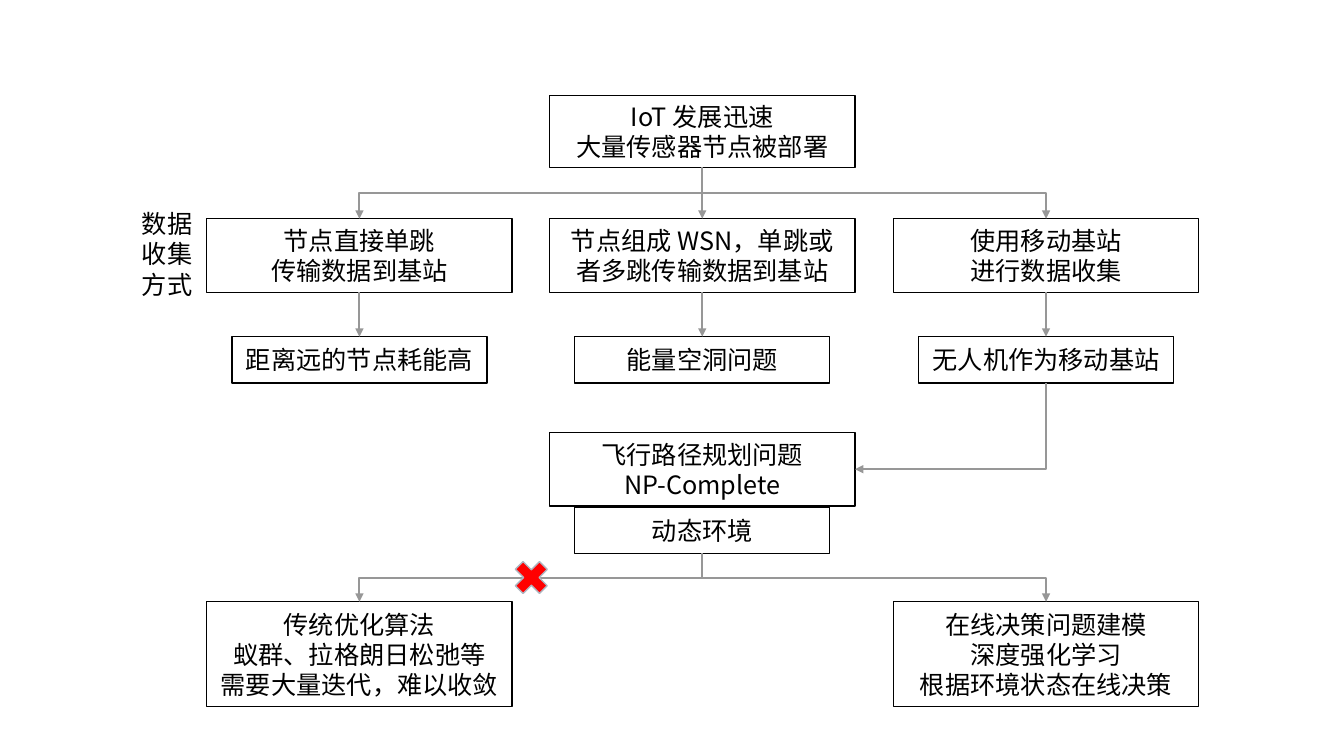
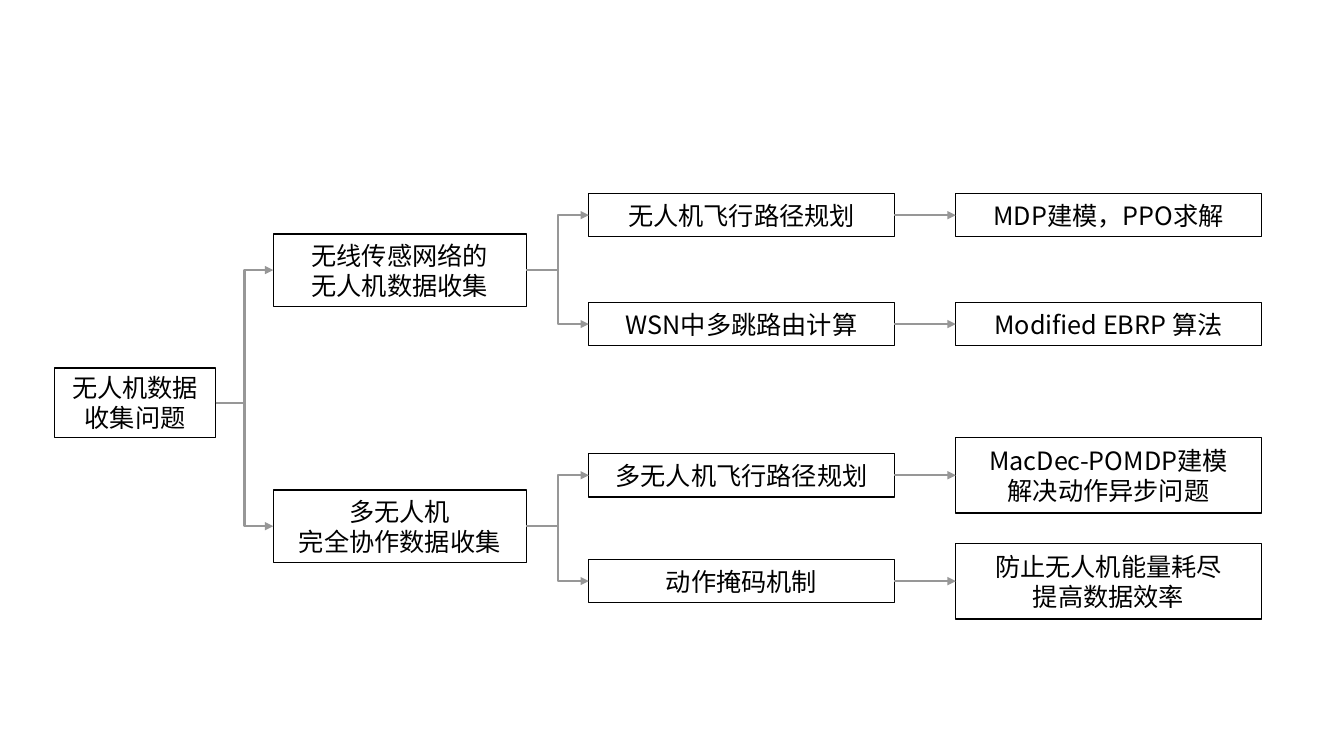
import pptx
import pptx.dml.color
import pptx.enum.shapes
import pptx.enum.text
import pptx.oxml
import pptx.oxml.ns
import pptx.util

PX = 9144  # 100 px to the inch
FONT = "Noto Sans CJK SC"
INK, ARROW_GREY, CROSS_RED, CROSS_EDGE = "000000", "979797", "FF0000", "AEB5C0"
TOP, LEFT, BOTTOM, RIGHT = range(4)  # connection sites of a rectangle

color = pptx.dml.color.RGBColor.from_string
qn = pptx.oxml.ns.qn
SHAPE = pptx.enum.shapes.MSO_SHAPE
CONNECTOR = pptx.enum.shapes.MSO_CONNECTOR
ALIGN = pptx.enum.text.PP_ALIGN
ANCHOR = pptx.enum.text.MSO_ANCHOR


def add_box(page, text, left, top, width, height, framed=True):
    """Add a centred, outlined box, or a plain left-aligned label if not framed."""
    place = [length * PX for length in (left, top, width, height)]
    if framed:
        box = page.shapes.add_shape(SHAPE.RECTANGLE, *place)
        box.shadow.inherit = False
        box.fill.background()
        box.line.color.rgb = color(INK)
        box.line.width = pptx.util.Pt(1)
    else:
        box = page.shapes.add_textbox(*place)
    frame = box.text_frame
    frame.text = text
    frame.word_wrap = True
    frame.vertical_anchor = ANCHOR.MIDDLE if framed else ANCHOR.TOP
    for para in frame.paragraphs:
        para.alignment = ALIGN.CENTER if framed else ALIGN.LEFT
        para.line_spacing = pptx.util.Pt(21.6)
        for span in para.runs:
            span.font.size = pptx.util.Pt(18)
            span.font.name = FONT
            span.font.color.rgb = color(INK)
            east_asian = pptx.oxml.parse_xml(
                f'<a:ea {pptx.oxml.ns.nsdecls("a")} typeface="{FONT}"/>')
            span.font._element.find(qn("a:latin")).addnext(east_asian)
    return box


def add_arrow(page, source, target, leave=RIGHT, enter=LEFT):
    """Join two boxes; an arrow leaving the bottom is an elbow turned by 90 degrees."""
    arrow = page.shapes.add_connector(CONNECTOR.ELBOW, 0, 0, 0, 0)
    arrow.begin_connect(source, leave)
    arrow.end_connect(target, enter)
    arrow.line.color.rgb = color(ARROW_GREY)
    arrow.line.width = pptx.util.Pt(1.5)
    properties = arrow._element.spPr
    line = properties.find(qn("a:ln"))
    line.append(pptx.oxml.parse_xml(
        f'<a:tailEnd {pptx.oxml.ns.nsdecls("a")} type="triangle"/>'))
    line.addnext(pptx.oxml.parse_xml(f'<a:effectLst {pptx.oxml.ns.nsdecls("a")}/>'))

    geometry = properties.find(qn("a:prstGeom"))
    across, down = arrow.end_x - arrow.begin_x, arrow.end_y - arrow.begin_y
    if across == 0 or down == 0:
        geometry.set("prst", "line")
    elif leave == BOTTOM:
        if enter != TOP:
            geometry.set("prst", "bentConnector2")
        middle_x = (arrow.begin_x + arrow.end_x) // 2
        middle_y = (arrow.begin_y + arrow.end_y) // 2
        arrow.left, arrow.top = middle_x - down // 2, middle_y - abs(across) // 2
        arrow.width, arrow.height = down, abs(across)
        frame = properties.find(qn("a:xfrm"))
        frame.set("rot", "5400000")
        frame.set("flipH", "0")
        frame.set("flipV", "1" if across > 0 else "0")


deck = pptx.Presentation()
deck.slide_width, deck.slide_height = 1333 * PX, 750 * PX
blank = deck.slide_layouts[6]

# Slide 1: from data collection methods to online decisions
page = deck.slides.add_slide(blank)
WIDE, NARROW = 303, 253
INSET = (WIDE - NARROW) // 2
columns = [205, 545, 886]

growth = add_box(page, "IoT 发展迅速\n大量传感器节点被部署", columns[1], 95, WIDE, 71)
methods = [
    ("节点直接单跳\n传输数据到基站", "距离远的节点耗能高"),
    ("节点组成 WSN，单跳或者多跳传输数据到基站", "能量空洞问题"),
    ("使用移动基站\n进行数据收集", "无人机作为移动基站"),
]
for left, (method_text, outcome_text) in zip(columns, methods):
    method = add_box(page, method_text, left, 217, WIDE, 73)
    outcome = add_box(page, outcome_text, left + INSET, 334, NARROW, 46)
    add_arrow(page, growth, method, BOTTOM, TOP)
    add_arrow(page, method, outcome, BOTTOM, TOP)
add_box(page, "数据收集方式", 131, 202, 90, 40, framed=False)

planning = add_box(page, "飞行路径规划问题\nNP-Complete", columns[1], 429, WIDE, 73)
add_arrow(page, outcome, planning, BOTTOM, RIGHT)
dynamic = add_box(page, "动态环境", columns[1] + INSET, 503, NARROW, 46)
solutions = [
    (columns[0], "传统优化算法\n蚁群、拉格朗日松弛等\n需要大量迭代，难以收敛"),
    (columns[2], "在线决策问题建模\n深度强化学习\n根据环境状态在线决策"),
]
for left, text in solutions:
    solution = add_box(page, text, left, 597, WIDE, 104)
    add_arrow(page, dynamic, solution, BOTTOM, TOP)

cross = page.shapes.add_shape(SHAPE.MATH_MULTIPLY, 504 * PX, 550 * PX, 46 * PX, 46 * PX)
cross.shadow.inherit = False
cross.fill.solid()
cross.fill.fore_color.rgb = color(CROSS_RED)
cross.line.color.rgb = color(CROSS_EDGE)
cross.line.width = pptx.util.Pt(1)

# Slide 2: tree of problems, tasks and techniques
page = deck.slides.add_slide(blank)
problem = add_box(page, "无人机数据收集问题", 54, 365, 160, 69)
# Each task: text, top, technique, technique height
branches = [
    ("无线传感网络的\n无人机数据收集", 232, [
        ("无人机飞行路径规划", 192, "MDP建模，PPO求解", 43),
        ("WSN中多跳路由计算", 300, "Modified EBRP 算法", 43),
    ]),
    ("多无人机\n完全协作数据收集", 486, [
        ("多无人机飞行路径规划", 450, "MacDec-POMDP建模\n解决动作异步问题", 75),
        ("动作掩码机制", 555, "防止无人机能量耗尽\n提高数据效率", 75),
    ]),
]
TASK_HEIGHT = 43
for branch_text, branch_top, tasks in branches:
    branch = add_box(page, branch_text, 271, branch_top, 251, 72)
    add_arrow(page, problem, branch)
    for task_text, top, technique_text, height in tasks:
        task = add_box(page, task_text, 584, top, WIDE, TASK_HEIGHT)
        technique_top = top - (height - TASK_HEIGHT) // 2
        technique = add_box(page, technique_text, 948, technique_top, WIDE, height)
        add_arrow(page, branch, task)
        add_arrow(page, task, technique)

deck.save("out.pptx")
